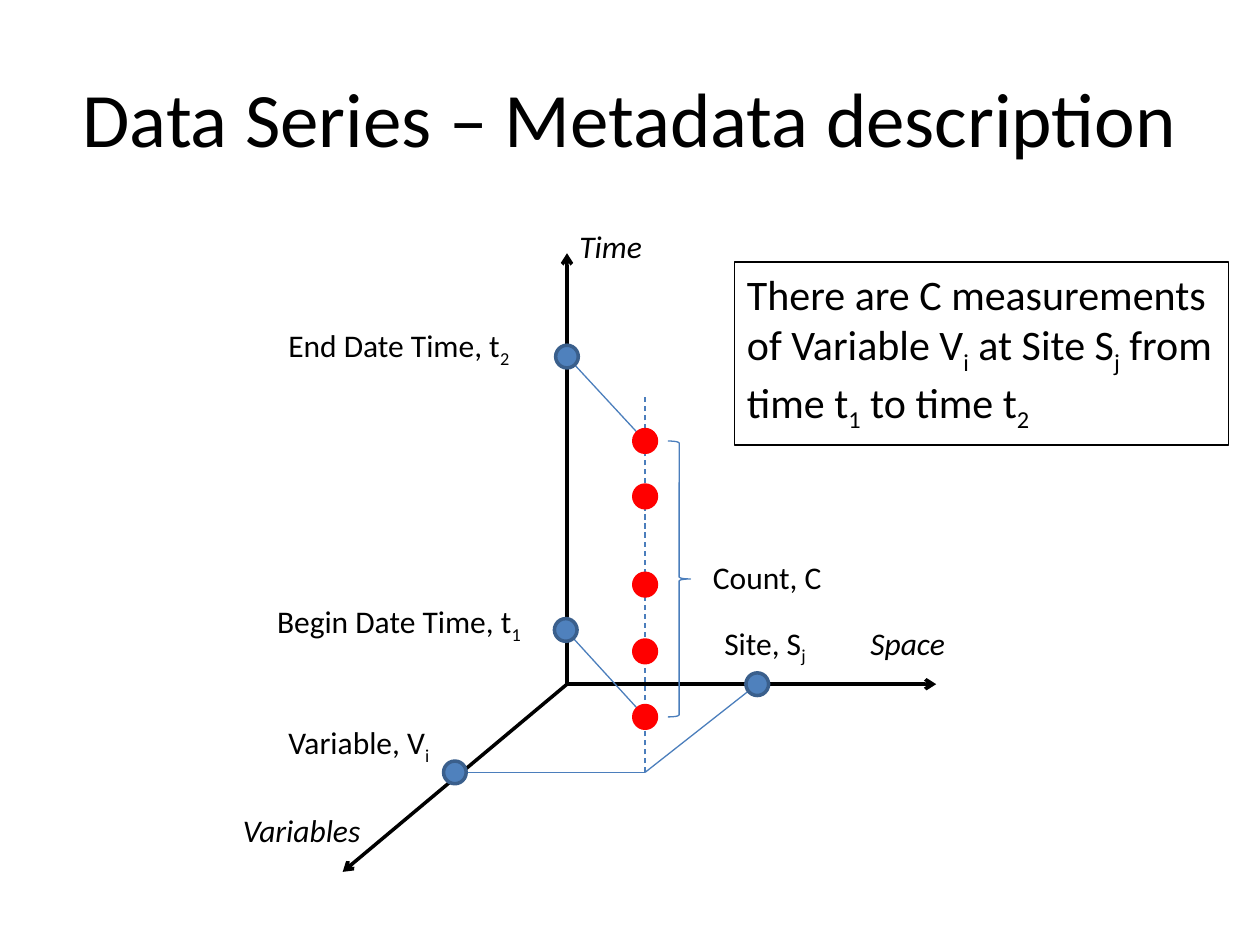
"""Build the data series metadata slide: three axes, measurements and labels."""
from lxml.etree import SubElement
from pptx import Presentation
from pptx.dml.color import RGBColor
from pptx.enum.dml import MSO_LINE
from pptx.enum.shapes import MSO_CONNECTOR, MSO_SHAPE
from pptx.enum.text import MSO_ANCHOR, MSO_AUTO_SIZE, PP_ALIGN
from pptx.oxml.ns import qn
from pptx.util import Inches, Pt

THEME = {
    "font": "Calibri", "title": 44, "note": 24, "label": 18,
    "black": "000000", "guide": "4B7EBC", "blue": "4F81BD",
    "blue_edge": "3A5F8C", "red": "FF0000",
    "thick": 2, "frame": 1, "thin": 0.75,
}

TITLE = "Data Series – Metadata description"
NOTE = "There are C measurements of Variable V_i at Site S_j from time t_1 to time t_2"
NOTE_BOX = (5.83, 2.08, 3.92, 1.45)

ORIGIN = (4.5, 5.43)
AXIS_ENDS = [(4.5, 2.01), (2.72, 6.92), (7.43, 5.43)]
SITE, VARIABLE = (6.01, 5.43), (3.61, 6.13)
BEGIN, END = (4.49, 5), (4.5, 2.83)
SERIES_X, BASE_Y, TOP_Y = 5.12, 6.13, 3.15
MEASURE_Y = [3.5, 3.94, 4.64, 5.17, 5.69]
DOT = 0.18

FOOT = (SERIES_X, BASE_Y)
GUIDES = [
    (FOOT, (SERIES_X, TOP_Y), True),
    (VARIABLE, FOOT, False),
    (FOOT, SITE, False),
    (BEGIN, (SERIES_X, MEASURE_Y[-1]), False),
    (END, (SERIES_X, MEASURE_Y[0]), False),
]

LABELS = [
    ("Time", 4.5, 1.75, 0.76, True),
    ("Space", 6.81, 4.9, 0.86, True),
    ("Variables", 1.83, 6.39, 1.22, True),
    ("End Date Time, t_2", 2.19, 2.54, 2.16, False),
    ("Begin Date Time, t_1", 2.1, 4.73, 2.42, False),
    ("Variable, V_i", 2.19, 5.69, 1.45, False),
    ("Site, S_j", 5.65, 4.9, 0.94, False),
    ("Count, C", 5.56, 4.38, 1.15, False),
]


def color(name):
    return RGBColor.from_string(THEME[name])


def write(tf, text, size="label", italic=False, align=PP_ALIGN.LEFT):
    """Write text in one paragraph; an underscore lowers the next character."""
    p = tf.paragraphs[0]
    p.alignment = align
    first, *rest = text.split("_")
    pieces = [(first, False)]
    for part in rest:
        pieces += [(part[0], True), (part[1:], False)]
    for piece, lowered in pieces:
        if not piece:
            continue
        r = p.add_run()
        r.text = piece
        r.font.name = THEME["font"]
        r.font.size = Pt(THEME[size])
        r.font.color.rgb = color("black")
        if italic:
            r.font.italic = True
        if lowered:
            r.font._element.set("baseline", "-25000")


def add_line(slide, start, end, line, width, dashed=False, arrow=False):
    cx = slide.shapes.add_connector(
        MSO_CONNECTOR.STRAIGHT, *(Inches(v) for v in (*start, *end)))
    cx.line.color.rgb = color(line)
    cx.line.width = Pt(THEME[width])
    if dashed:
        cx.line.dash_style = MSO_LINE.DASH
    if arrow:
        SubElement(cx.line._get_or_add_ln(), qn("a:tailEnd"), type="arrow")
    SubElement(cx._element.spPr, qn("a:effectLst"))


def add_shape(slide, kind, box, line, width, fill=None):
    sp = slide.shapes.add_shape(kind, *(Inches(v) for v in box))
    sp.shadow.inherit = False
    if fill:
        sp.fill.solid()
        sp.fill.fore_color.rgb = color(fill)
    else:
        sp.fill.background()
    sp.line.color.rgb = color(line)
    sp.line.width = Pt(THEME[width])
    return sp


def add_dot(slide, center, fill, line):
    x, y = center
    box = (x - DOT / 2, y - DOT / 2, DOT, DOT)
    add_shape(slide, MSO_SHAPE.OVAL, box, line, "thick", fill)


def main():
    prs = Presentation()
    prs.slide_width, prs.slide_height = Inches(10), Inches(7.5)
    slide = prs.slides.add_slide(prs.slide_layouts[5])

    title = slide.shapes.title
    title.left, title.top = Inches(0.5), Inches(0.3)
    title.width, title.height = Inches(9), Inches(1.25)
    title.text_frame.vertical_anchor = MSO_ANCHOR.MIDDLE
    write(title.text_frame, TITLE, size="title", align=PP_ALIGN.CENTER)

    for end in AXIS_ENDS:
        add_line(slide, ORIGIN, end, "black", "thick", arrow=True)
    for start, end, dashed in GUIDES:
        add_line(slide, start, end, "guide", "thin", dashed=dashed)
    for center in (SITE, VARIABLE, BEGIN, END):
        add_dot(slide, center, "blue", "blue_edge")
    for y in MEASURE_Y:
        add_dot(slide, (SERIES_X, y), "red", "red")

    span = MEASURE_Y[-1] - MEASURE_Y[0]
    add_shape(slide, MSO_SHAPE.RIGHT_BRACE, (5.3, MEASURE_Y[0], DOT, span), "guide", "thin")

    for text, x, y, width, italic in LABELS:
        tb = slide.shapes.add_textbox(*(Inches(v) for v in (x, y, width, 0.42)))
        tb.text_frame.word_wrap = False
        tb.text_frame.auto_size = MSO_AUTO_SIZE.SHAPE_TO_FIT_TEXT
        write(tb.text_frame, text, italic=italic)

    note = add_shape(slide, MSO_SHAPE.RECTANGLE, NOTE_BOX, "black", "frame")
    tf = note.text_frame
    tf.word_wrap = True
    tf.auto_size = MSO_AUTO_SIZE.NONE
    tf.vertical_anchor = MSO_ANCHOR.TOP
    write(tf, NOTE, size="note")

    prs.save("out.pptx")


if __name__ == "__main__":
    main()
